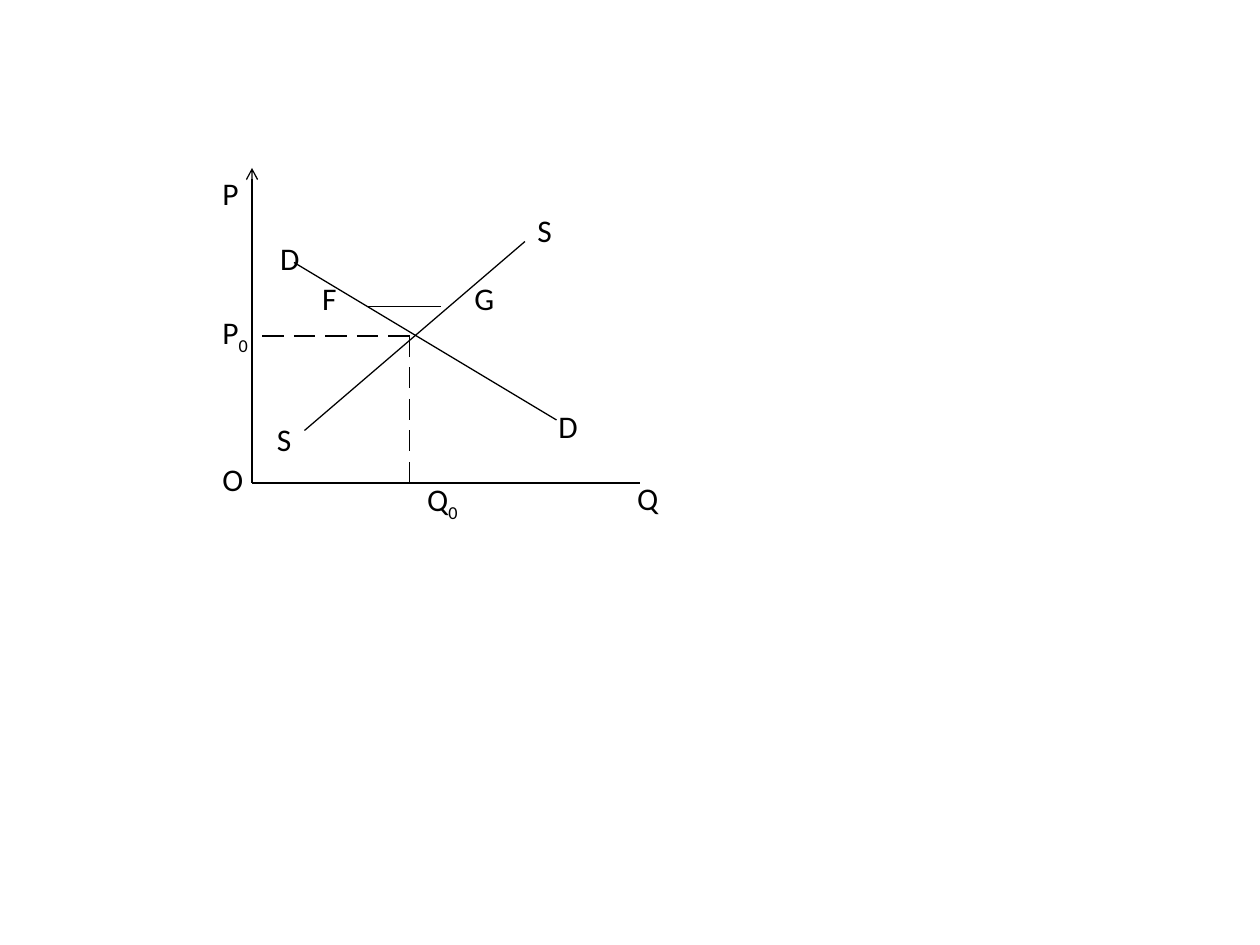
from lxml import etree
from pptx import Presentation, util as u
from pptx.dml.color import RGBColor
from pptx.enum import shapes, text
from pptx.oxml import ns

COLORS = {"ink": "000000", "paper": "FFFFFF"}
FONT = "Calibri"
CELL = u.Inches(1) / 12  # side of one grid cell
COLS, ROWS = 37, 30  # size of the plot in cells
EQ_COL, EQ_ROW = 15, 16  # equilibrium point
DASH, STEP = 2, 3  # dash length and pitch in cells

# text, subscript, column, row, width in cells
LABELS = [
    ("P", "", -4, 0, 4),
    ("P", "0", -4, 13.2, 5),
    ("O", "", -4, 27.2, 4.4),
    ("Q", "0", 15.5, 29.1, 5.5),
    ("Q", "", 35.5, 29, 4.4),
    ("D", "", 1.5, 6.2, 4.4),
    ("D", "", 28, 22.2, 4.3),
    ("S", "", 26, 3.5, 3.8),
    ("S", "", 1.2, 23.4, 3.8),
    ("F", "", 5.5, 10, 3.8),
    ("G", "", 20, 10, 4.3),
]


def rgb(name):
    return RGBColor.from_string(COLORS[name])


def add_line(s, box, start, end, arrow=False):
    left, top = box
    x1, y1, x2, y2 = (
        round(origin + n * CELL)
        for origin, n in zip((left, top, left, top), (*start, *end))
    )
    line = s.shapes.add_connector(shapes.MSO_CONNECTOR.STRAIGHT, x1, y1, x2, y2)
    line.line.color.rgb = rgb("ink")
    line.line.width = u.Pt(0.75)
    sp_pr = line._element.spPr
    if arrow:
        etree.SubElement(sp_pr.find(ns.qn("a:ln")), ns.qn("a:tailEnd"), type="arrow")
    etree.SubElement(sp_pr, ns.qn("a:effectLst"))


def add_label(s, box, letter, subscript, col, row, width):
    left, top = box
    sp = s.shapes.add_textbox(
        round(left + col * CELL), round(top + row * CELL),
        round(width * CELL), u.Inches(0.4),
    )
    tf = sp.text_frame
    tf.word_wrap = False
    tf.auto_size = text.MSO_AUTO_SIZE.SHAPE_TO_FIT_TEXT
    p = tf.paragraphs[0]
    for part in filter(None, (letter, subscript)):
        r = p.add_run()
        r.text = part
        r.font.name = FONT
        r.font.size = u.Pt(18)
        r.font.color.rgb = rgb("ink")
        if part == subscript:
            r._r.get_or_add_rPr().set("baseline", "-25000")


def add_supply_demand(s, box):
    # Axes
    add_line(s, box, (0, ROWS), (0, 0), arrow=True)
    add_line(s, box, (0, ROWS), (COLS, ROWS))

    # Dashed guides from the equilibrium to both axes
    for col in range(1, EQ_COL, STEP):
        add_line(s, box, (col, EQ_ROW), (col + DASH, EQ_ROW))
    for row in range(EQ_ROW, ROWS, STEP):
        add_line(s, box, (EQ_COL, row), (EQ_COL, row + DASH))

    # Demand, supply and the surplus FG
    add_line(s, box, (4, 9), (29, 24))
    add_line(s, box, (26, 7), (5, 25))
    add_line(s, box, (11, 13.2), (18, 13.2))

    for label in LABELS:
        add_label(s, box, *label)


def main():
    prs = Presentation()
    prs.slide_width, prs.slide_height = u.Inches(10), u.Inches(7.5)
    s = prs.slides.add_slide(prs.slide_layouts[6])
    s.background.fill.solid()
    s.background.fill.fore_color.rgb = rgb("paper")
    add_supply_demand(s, (24 * CELL, 16 * CELL))
    prs.save("out.pptx")


if __name__ == "__main__":
    main()
